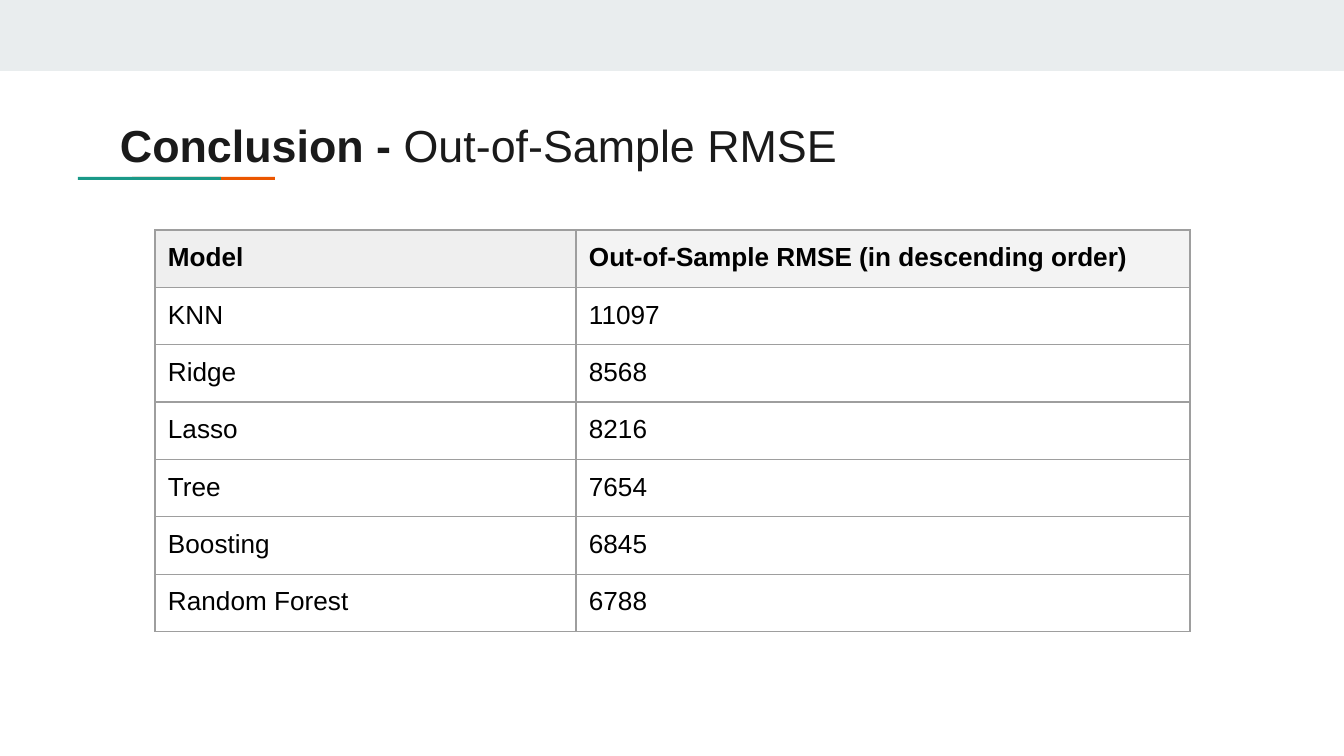
"""Build the conclusion slide comparing out-of-sample RMSE by model."""
import dataclasses

import lxml.etree
import pptx
import pptx.dml.color
import pptx.enum.shapes
import pptx.enum.text
import pptx.oxml.ns
import pptx.slide
import pptx.table
import pptx.text.text
import pptx.util

EMU_PER_PX = 914400 / 134.4
FONT = "Arial"
INSET = 13
ROW_HEIGHT = 56
COLUMN_WIDTHS = (421, 614)
HEADER_FILLS = ("EFEFEF", "F3F3F3")
ROWS = (
    ("Model", "Out-of-Sample RMSE (in descending order)"),
    ("KNN", "11097"),
    ("Ridge", "8568"),
    ("Lasso", "8216"),
    ("Tree", "7654"),
    ("Boosting", "6845"),
    ("Random Forest", "6788"),
)


@dataclasses.dataclass(frozen=True)
class Bar:
    left: int
    top: int
    width: int
    height: int
    fill: str


BARS = (
    Bar(0, 0, 1344, 71, "E9EDEE"),
    Bar(132, 177, 143, 3, "EB5600"),
    Bar(78, 177, 143, 3, "1A9988"),
)


def px(length: int) -> pptx.util.Emu:
    return pptx.util.Emu(round(length * EMU_PER_PX))


def color(value: str) -> pptx.dml.color.RGBColor:
    return pptx.dml.color.RGBColor.from_string(value)


def draw_bar(slide: pptx.slide.Slide, bar: Bar) -> None:
    shape = slide.shapes.add_shape(
        pptx.enum.shapes.MSO_SHAPE.RECTANGLE,
        px(bar.left), px(bar.top), px(bar.width), px(bar.height),
    )
    shape.shadow.inherit = False
    shape.fill.solid()
    shape.fill.fore_color.rgb = color(bar.fill)
    shape.line.fill.background()


def add_run(paragraph: pptx.text.text._Paragraph, text: str, size: int,
            text_color: str, bold: bool) -> None:
    run = paragraph.add_run()
    run.text = text
    run.font.name = FONT
    run.font.size = pptx.util.Pt(size)
    run.font.bold = bold
    run.font.color.rgb = color(text_color)


def draw_title(slide: pptx.slide.Slide) -> None:
    shape = slide.shapes.add_textbox(px(107), px(99), px(1130), px(79))
    frame = shape.text_frame
    frame.word_wrap = True
    frame.vertical_anchor = pptx.enum.text.MSO_ANCHOR.TOP
    frame.margin_left = frame.margin_right = px(INSET)
    frame.margin_top = px(19)
    frame.margin_bottom = px(7)
    paragraph = frame.paragraphs[0]
    add_run(paragraph, "Conclusion - ", 24, "1A1A1A", True)
    add_run(paragraph, "Out-of-Sample RMSE", 24, "1A1A1A", False)


def add_borders(cell: pptx.table._Cell, line_color: str, width: float) -> None:
    qn = pptx.oxml.ns.qn
    properties = cell._tc.get_or_add_tcPr()
    for side in ("a:lnL", "a:lnR", "a:lnT", "a:lnB"):
        line = lxml.etree.SubElement(properties, qn(side), w=str(pptx.util.Pt(width)))
        fill = lxml.etree.SubElement(line, qn("a:solidFill"))
        lxml.etree.SubElement(fill, qn("a:srgbClr"), val=line_color)


def draw_table(slide: pptx.slide.Slide) -> None:
    frame = slide.shapes.add_table(
        len(ROWS), len(COLUMN_WIDTHS), px(155), px(230),
        px(sum(COLUMN_WIDTHS)), px(ROW_HEIGHT * len(ROWS)),
    )
    table = frame.table
    table.first_row = table.horz_banding = False
    for column, width in zip(table.columns, COLUMN_WIDTHS):
        column.width = px(width)
    for row_index, texts in enumerate(ROWS):
        is_header = row_index == 0
        table.rows[row_index].height = px(ROW_HEIGHT)
        for column_index, text in enumerate(texts):
            cell = table.cell(row_index, column_index)
            cell.margin_left = cell.margin_right = px(INSET)
            cell.margin_top = cell.margin_bottom = px(INSET)
            add_borders(cell, "9E9E9E", 0.75)
            if is_header:
                cell.fill.solid()
                cell.fill.fore_color.rgb = color(HEADER_FILLS[column_index])
            else:
                cell.fill.background()
            add_run(cell.text_frame.paragraphs[0], text, 14, "000000", is_header)


def main() -> None:
    presentation = pptx.Presentation()
    presentation.slide_width = px(1344)
    presentation.slide_height = px(756)
    slide = presentation.slides.add_slide(presentation.slide_layouts[6])
    for bar in BARS:
        draw_bar(slide, bar)
    draw_title(slide)
    draw_table(slide)
    presentation.save("out.pptx")


if __name__ == "__main__":
    main()
